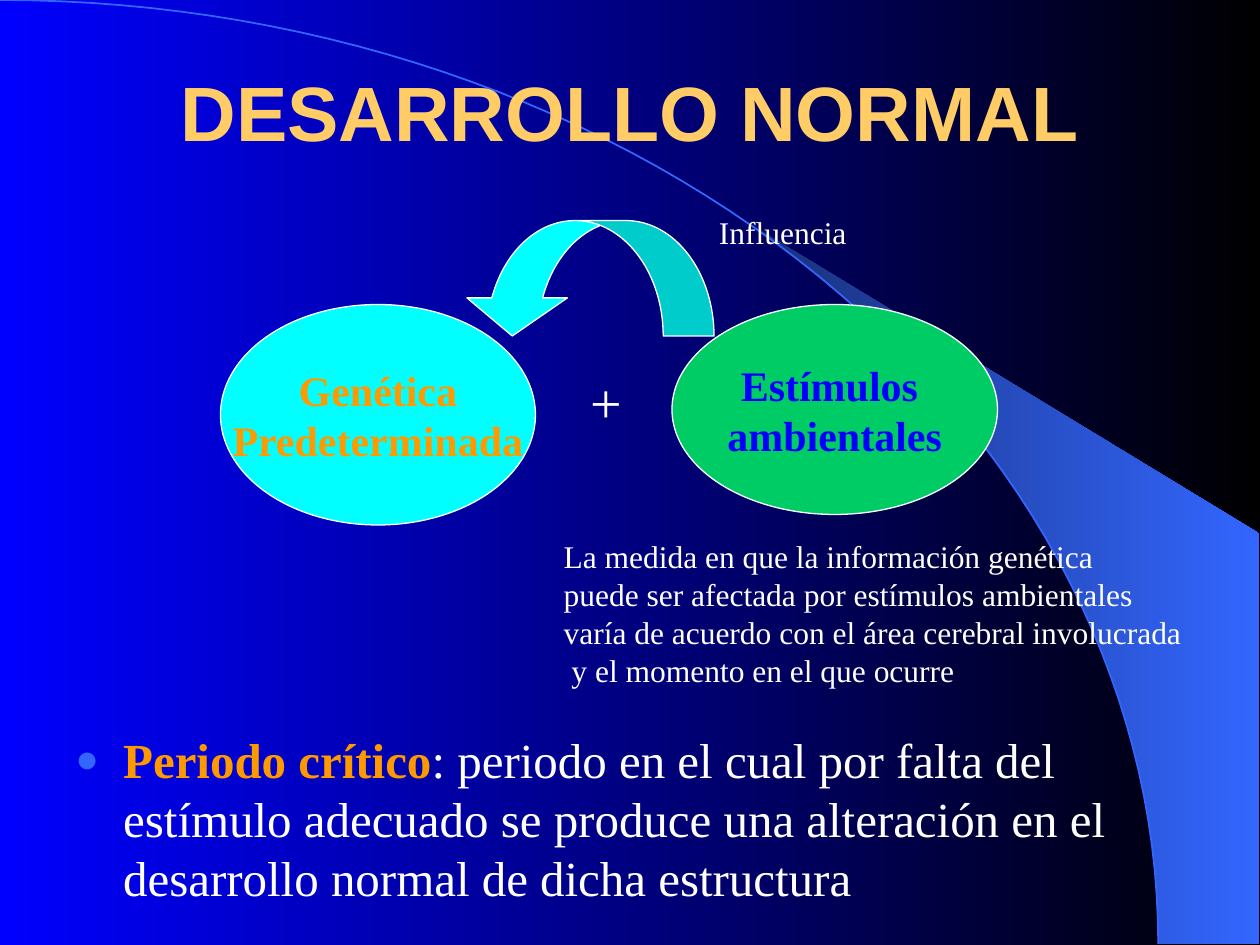
from dataclasses import dataclass
from math import asin, cos, pi, sin

from lxml.etree import SubElement
from pptx import Presentation
from pptx.dml.color import RGBColor as Rgb
from pptx.enum.shapes import MSO_SHAPE as Kind
from pptx.enum.text import MSO_ANCHOR as Anchor, PP_ALIGN as Align
from pptx.oxml.ns import qn
from pptx.util import Inches, Pt

CELL = Inches(1) // 12  # the slide is 120 columns by 90 rows


@dataclass(frozen=True)
class Theme:
    blue: str = "0000FF"
    black: str = "000000"
    white: str = "FFFFFF"
    navy: str = "182F76"
    sky: str = "3366FF"
    gold: str = "FFCC66"
    amber: str = "FF9900"
    cyan: str = "00FFFF"
    green: str = "00CC66"
    head: str = "Arial"
    body: str = "Times New Roman"
    title: int = 44
    sign: int = 32
    main: int = 28
    label: int = 24
    note: int = 18


T = Theme()


def within(box, part):
    """Shift a part, given relative to a box, to its place on the slide grid."""
    return (box[0] + part[0], box[1] + part[1], part[2], part[3])


def span(box):
    return [round(n * CELL) for n in box]


def style(font, size, color, bold=False, name=T.body):
    values = {"size": Pt(size), "bold": bold, "name": name}
    for key, value in values.items():
        setattr(font, key, value)
    font.color.rgb = Rgb.from_string(color)


def blend(fill, start, end):
    fill.gradient()
    fill.gradient_angle = 0
    for stop, color in zip(fill.gradient_stops, (start, end)):
        stop.color.rgb = Rgb.from_string(color)


def paint(shape, fill, line, width):
    shape.shadow.inherit = False
    if fill:
        shape.fill.solid()
        shape.fill.fore_color.rgb = Rgb.from_string(fill)
    else:
        shape.fill.background()
    shape.line.color.rgb = Rgb.from_string(line)
    shape.line.width = Pt(width)


def write(frame, lines, align=Align.LEFT, anchor=Anchor.TOP, wrap=True, **look):
    values = {"word_wrap": wrap, "vertical_anchor": anchor}
    for key, value in values.items():
        setattr(frame, key, value)
    for i, line in enumerate(lines):
        para = frame.add_paragraph() if i else frame.paragraphs[0]
        para.alignment = align
        run = para.add_run()
        run.text = line
        style(run.font, **look)


def text(slide, box, lines, **look):
    frame = slide.shapes.add_textbox(*span(box)).text_frame
    write(frame, lines, **look)


def trace(slide, points, close):
    pairs = [span(point) for point in points]
    pen = slide.shapes.build_freeform(*pairs[0])
    pen.add_line_segments(pairs[1:], close=close)
    shape = pen.convert_to_shape()
    shape.shadow.inherit = False
    return shape


def curve(box, start, steps=60):
    """Points of a quarter ellipse from the angle start down to the box corner."""
    left, top, wide, high = box
    turns = [start + (pi / 2 - start) * i / steps for i in range(steps + 1)]
    return [(left + wide * sin(t), top + high * (1 - cos(t))) for t in turns]


def backdrop(slide, box):
    blend(slide.background.fill, T.blue, T.black)
    left, top, wide, high = box
    arc = (left, top, wide * 0.92, high)
    edge = left + wide
    beam = curve(arc, asin(0.64))
    beam += [(edge, top + high), (edge, top + high * 0.565)]
    shape = trace(slide, beam, True)
    blend(shape.fill, T.navy, T.sky)
    shape.line.fill.background()
    paint(trace(slide, curve(arc, 0), False), None, T.sky, 1)


def heading(slide, box):
    text(slide, box, ["DESARROLLO NORMAL"], align=Align.CENTER,
         anchor=Anchor.MIDDLE, size=T.title, color=T.gold, bold=True, name=T.head)


def diagram(slide, box):
    ovals = (
        ((0, 10, 30, 21), T.cyan, T.amber, ["Genética", "Predeterminada"]),
        ((43, 10, 31, 20), T.green, T.blue, ["Estímulos ", "ambientales"]),
    )
    for part, fill, color, lines in ovals:
        oval = slide.shapes.add_shape(Kind.OVAL, *span(within(box, part)))
        paint(oval, fill, T.white, 0.75)
        write(oval.text_frame, lines, align=Align.CENTER, anchor=Anchor.MIDDLE,
              wrap=False, size=T.label, color=color, bold=True)
    text(slide, within(box, (34.1, 15.4, 5.4, 7.7)), ["+"],
         size=T.sign, color=T.white)
    arrow = slide.shapes.add_shape(
        Kind.CURVED_UP_ARROW, *span(within(box, (23, 2, 24, 11))))
    arrow.rotation = 180
    for i, share in enumerate((0.44, 0.87, 0.33)):
        arrow.adjustments[i] = share
    paint(arrow, T.cyan, T.white, 0.75)
    text(slide, within(box, (46.3, 0.7, 17, 4.8)), ["Influencia"],
         size=T.note, color=T.white)


def remark(slide, box):
    text(slide, box, [
        "La medida en que la información genética",
        "puede ser afectada por estímulos ambientales",
        "varía de acuerdo con el área cerebral involucrada",
        " y el momento en el que ocurre",
    ], size=T.note, color=T.white)


def bullet(para):
    props = para._p.get_or_add_pPr()
    props.set("marL", str(Inches(0.38)))
    props.set("indent", str(-Inches(0.38)))
    tint = SubElement(props, qn("a:buClr"))
    SubElement(tint, qn("a:srgbClr"), val=T.sky)
    SubElement(props, qn("a:buSzPct"), val="80000")
    SubElement(props, qn("a:buFont"), typeface=T.body)
    SubElement(props, qn("a:buChar"), char="●")


def meaning(slide, box):
    frame = slide.shapes.add_textbox(*span(box)).text_frame
    values = {"word_wrap": True, "vertical_anchor": Anchor.BOTTOM,
              "margin_bottom": Inches(0.14)}
    for key, value in values.items():
        setattr(frame, key, value)
    para = frame.paragraphs[0]
    bullet(para)
    parts = (
        ("Periodo crítico", T.amber, True),
        (": periodo en el cual por falta del estímulo adecuado se produce "
         "una alteración en el desarrollo normal de dicha estructura",
         T.white, False),
    )
    for words, color, bold in parts:
        run = para.add_run()
        run.text = words
        style(run.font, T.main, color, bold)


def main():
    deck = Presentation()
    deck.slide_width, deck.slide_height = Inches(10), Inches(7.5)
    slide = deck.slides.add_slide(deck.slide_layouts[6])
    backdrop(slide, (0, 0, 119.9, 89.9))
    heading(slide, (9, 3, 102, 15))
    meaning(slide, (6, 21, 108, 67))
    diagram(slide, (21, 19, 74, 31))
    remark(slide, (52.5, 50.6, 67, 15.6))
    deck.save("out.pptx")


if __name__ == "__main__":
    main()
